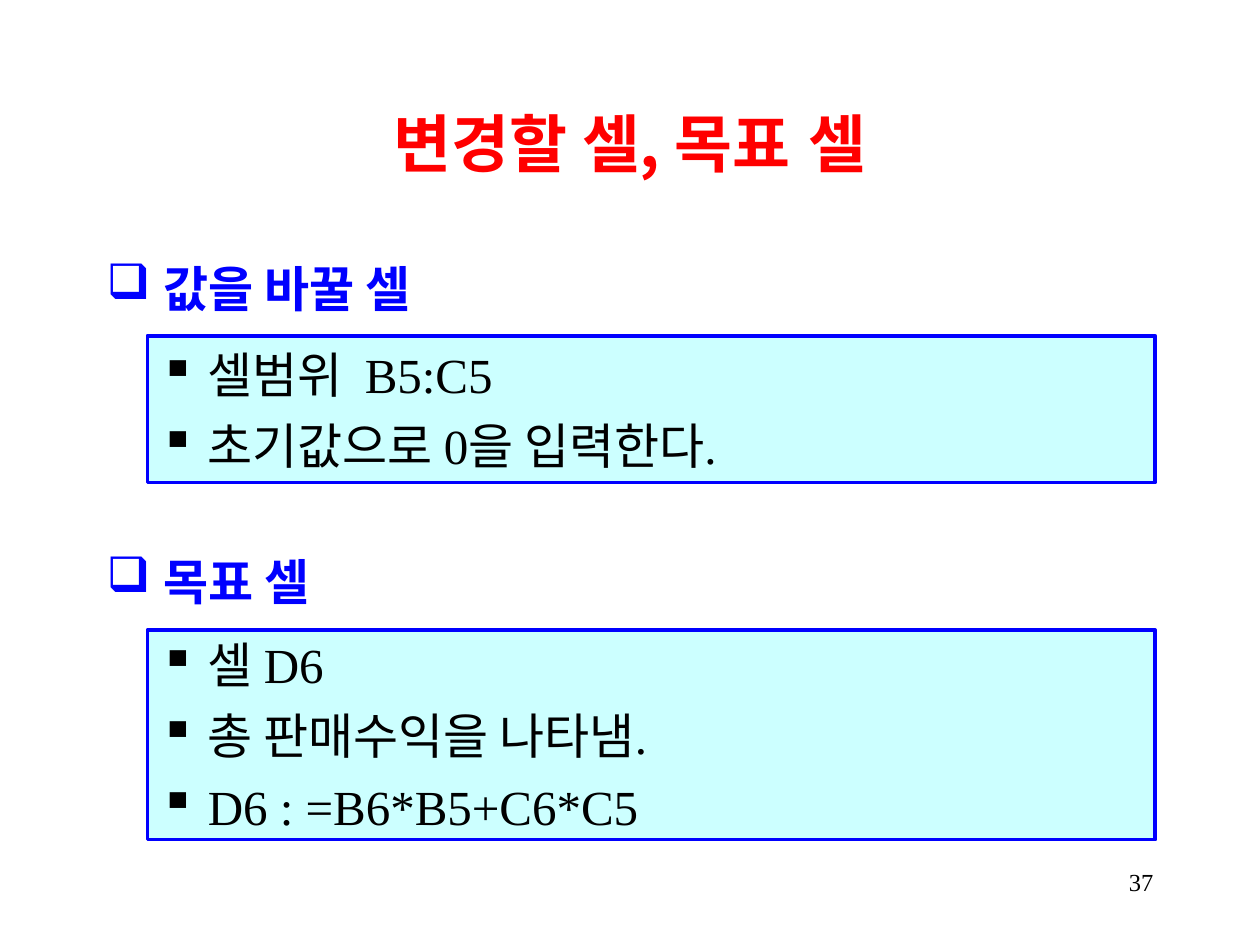
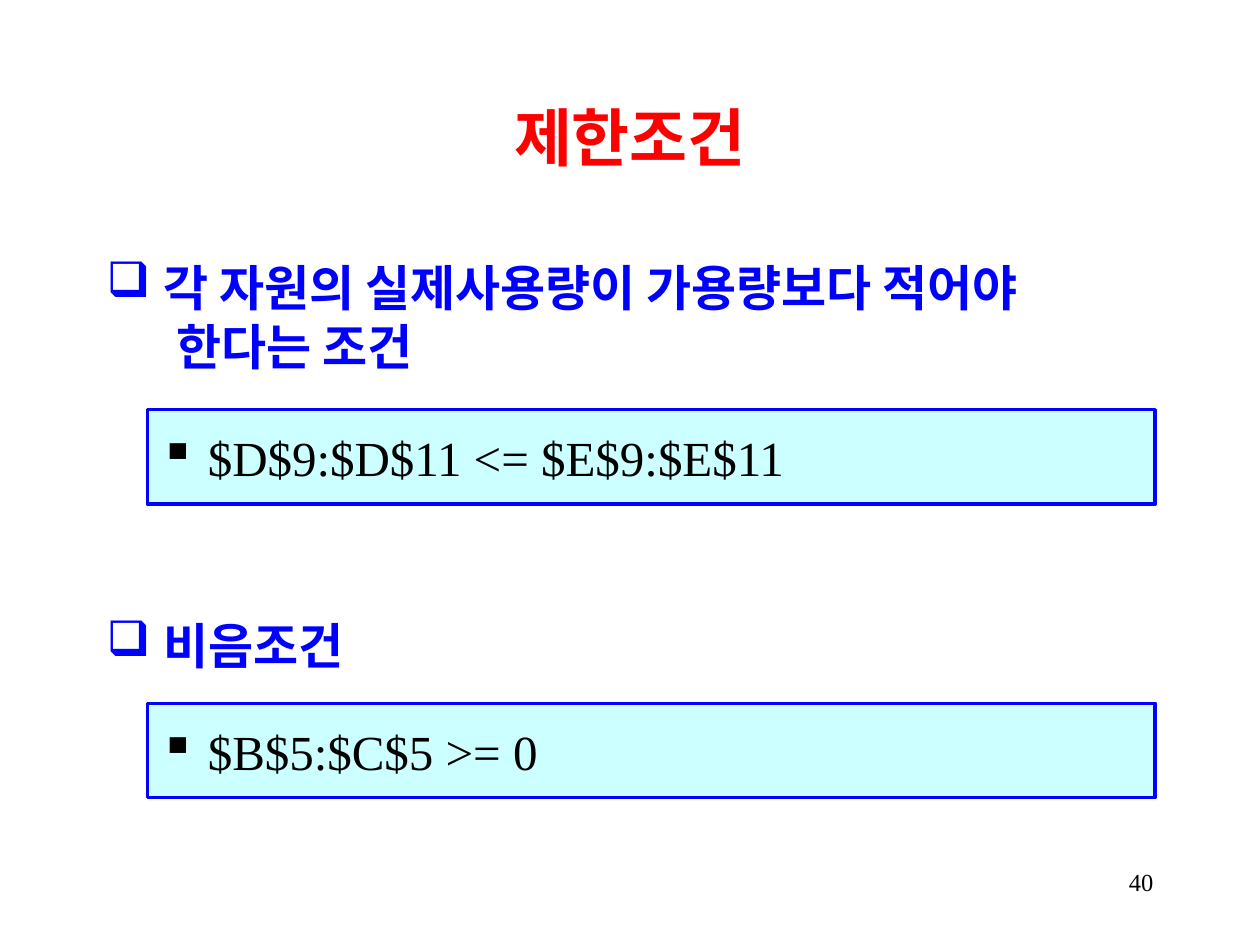
"""Builds two slides on spreadsheet solver cells and constraints."""
from dataclasses import dataclass

from lxml.etree import SubElement
from pptx import Presentation
from pptx.dml.color import RGBColor
from pptx.enum.shapes import MSO_SHAPE
from pptx.enum.text import MSO_ANCHOR, PP_ALIGN
from pptx.oxml.ns import qn
from pptx.util import Cm, Pt

RED, BLUE, CYAN, BLACK = "FF0000", "0000FF", "CCFFFF", "000000"
SERIF, KOREAN = "Times New Roman", "Noto Sans CJK KR"
MARGIN, CONTENT_W = 1.9, 21.6
BOX_X, BOX_W = 2.97, 20.32
HEADING_INDENT, CONTINUATION_INDENT, ITEM_INDENT = 1.14, 1.4, 0.97


@dataclass
class Section:
    heading: list[str]
    heading_y: float
    items: list[str]
    box_y: float
    box_h: float
    heading_h: float = 1.45
    line_spacing: float = 1.0


@dataclass
class Page:
    title: list[tuple[str, int]]
    sections: list[Section]
    number: int


PAGES = [
    Page([("변경할 셀, 목표", 36), (" ", 44), ("셀", 36)], [
        Section(["값을 바꿀 셀"], 5.08,
                ["셀범위  B5:C5", "초기값으로 0을 입력한다."], 6.77, 2.96),
        Section(["목표 셀"], 11.0,
                ["셀 D6", "총 판매수익을 나타냄.", "D6 : =B6*B5+C6*C5"], 12.7, 4.23),
    ], 37),
    Page([("제한조건", 36)], [
        Section(["각 자원의 실제사용량이 가용량보다 적어야", "한다는 조건"], 5.29,
                ["$D$9:$D$11 <= $E$9:$E$11"], 8.26, 1.9, 2.41, 0.8),
        Section(["비음조건"], 12.28, ["$B$5:$C$5 >= 0"], 14.18, 1.9),
    ], 40),
]


def rgb(value: str) -> RGBColor:
    return RGBColor.from_string(value)


def format_run(r, size: int, color: str, bold: bool = False, font: str = SERIF) -> None:
    r.font.size, r.font.bold, r.font.name = Pt(size), bold, font
    r.font.color.rgb = rgb(color)
    SubElement(r.font._element, qn("a:ea"), typeface=KOREAN)


def set_indent(p, left: float, first: float) -> None:
    pPr = p._p.get_or_add_pPr()
    pPr.set("marL", str(Cm(left)))
    pPr.set("indent", str(Cm(first)))


def set_bullet(p, char: str, color: str, indent: float) -> None:
    set_indent(p, indent, -indent)
    pPr = p._p.get_or_add_pPr()
    SubElement(SubElement(pPr, qn("a:buClr")), qn("a:srgbClr"), val=color)
    SubElement(pPr, qn("a:buChar"), char=char)


def add_text_frame(s, x: float, y: float, w: float, h: float):
    tf = s.shapes.add_textbox(Cm(x), Cm(y), Cm(w), Cm(h)).text_frame
    tf.word_wrap = True
    return tf


def fill_lines(tf, lines: list[str], color: str, bold: bool = False) -> None:
    tf.text = "\n".join(lines)
    for p in tf.paragraphs:
        p.alignment = PP_ALIGN.JUSTIFY
        p.space_before = Pt(7)
        format_run(p.runs[0], 28, color, bold)


def add_title(s, parts: list[tuple[str, int]]) -> None:
    tf = add_text_frame(s, MARGIN, 1.7, CONTENT_W, 2.11)
    tf.vertical_anchor = MSO_ANCHOR.MIDDLE
    p = tf.paragraphs[0]
    p.alignment = PP_ALIGN.CENTER
    for text, size in parts:
        r = p.add_run()
        r.text = text
        format_run(r, size, RED, True, KOREAN)


def add_heading(s, section: Section) -> None:
    tf = add_text_frame(s, MARGIN, section.heading_y, CONTENT_W, section.heading_h)
    fill_lines(tf, section.heading, BLUE, True)
    first, *rest = tf.paragraphs
    set_bullet(first, "❑", BLUE, HEADING_INDENT)
    for p in rest:
        set_indent(p, CONTINUATION_INDENT, 0)
    for p in tf.paragraphs:
        p.alignment = PP_ALIGN.LEFT
        p.line_spacing = section.line_spacing


def add_box(s, section: Section) -> None:
    sp = s.shapes.add_shape(MSO_SHAPE.RECTANGLE, Cm(BOX_X), Cm(section.box_y),
                            Cm(BOX_W), Cm(section.box_h))
    sp.shadow.inherit = False
    sp.fill.solid()
    sp.fill.fore_color.rgb = rgb(CYAN)
    sp.line.color.rgb = rgb(BLUE)
    sp.line.width = Pt(2)
    tf = sp.text_frame
    tf.word_wrap = True
    tf.vertical_anchor = MSO_ANCHOR.MIDDLE
    fill_lines(tf, section.items, BLACK)
    for p in tf.paragraphs:
        set_bullet(p, "▪", BLACK, ITEM_INDENT)


def add_page_number(s, number: int) -> None:
    tf = add_text_frame(s, 18.2, 17.35, 5.3, 1.27)
    tf.text = str(number)
    p = tf.paragraphs[0]
    p.alignment = PP_ALIGN.RIGHT
    format_run(p.runs[0], 14, BLACK)


def main() -> None:
    prs = Presentation()
    prs.slide_width, prs.slide_height = Cm(25.4), Cm(19.05)
    for page in PAGES:
        s = prs.slides.add_slide(prs.slide_layouts[6])
        add_page_number(s, page.number)
        add_title(s, page.title)
        for section in page.sections:
            add_heading(s, section)
            add_box(s, section)
    prs.save("out.pptx")


main()
